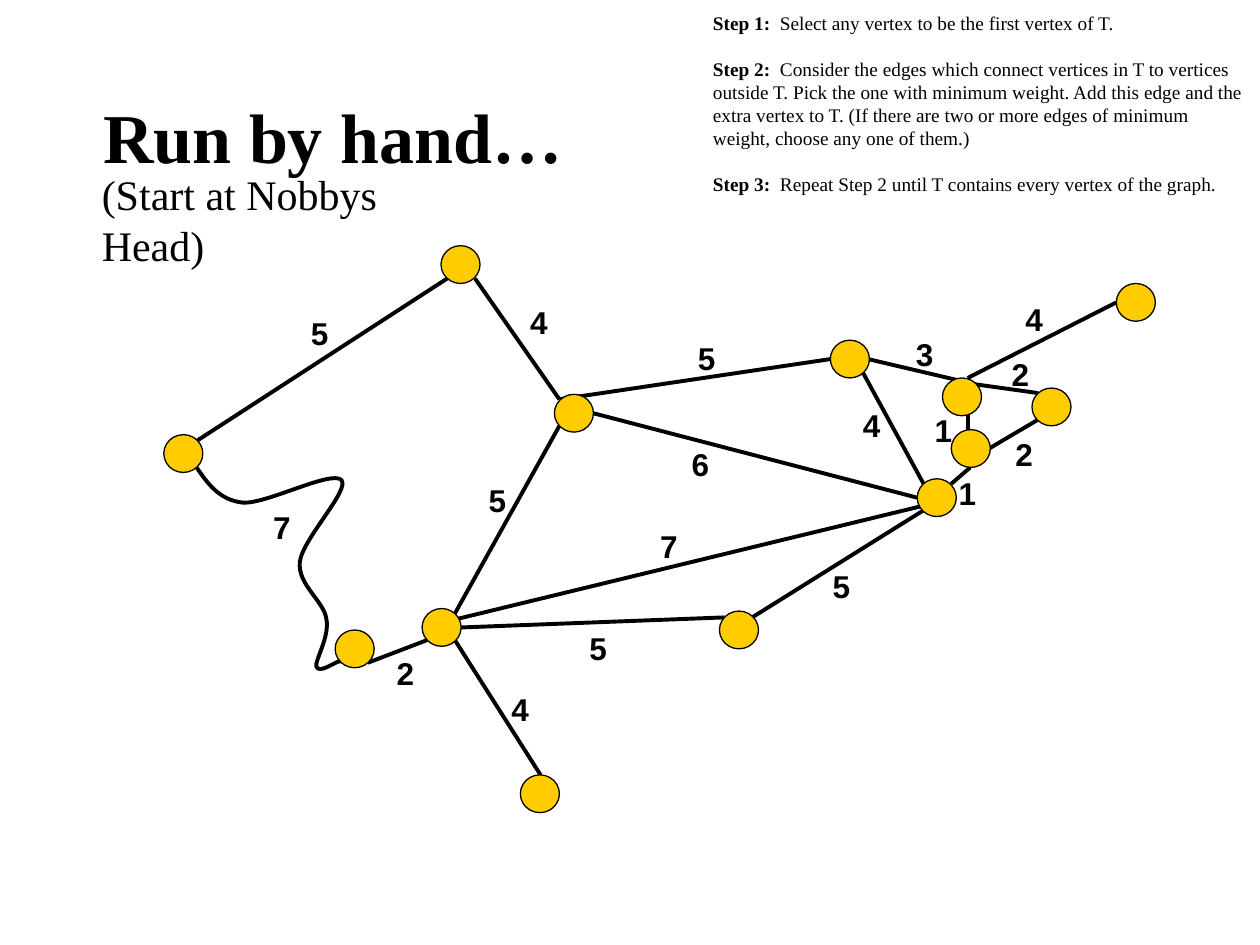
from lxml import etree
from pptx import Presentation
from pptx.dml.color import RGBColor
from pptx.enum import shapes, text
from pptx.oxml.ns import qn
from pptx.util import Inches, Pt

BLACK = RGBColor(0, 0, 0)
GOLD = RGBColor(0xFF, 0xCC, 0x00)
SERIF = "Times New Roman"

deck = Presentation()
deck.slide_width, deck.slide_height = Inches(10), Inches(7.5)
slide = deck.slides.add_slide(deck.slide_layouts[5])
items = slide.shapes


def write(para, words, size, face=SERIF, bold=False):
    run = para.add_run()
    run.text = words
    for key, value in {"size": Pt(size), "name": face, "bold": bold}.items():
        setattr(run.font, key, value)
    run.font.color.rgb = BLACK


def add_box(x, y, w, h, wrap=True):
    frame = items.add_textbox(*map(Inches, (x, y, w, h))).text_frame
    frame.word_wrap = wrap
    return frame


title = items.title
place = {"left": 0.82, "top": 0.74, "width": 8.34, "height": 1.01}
for key, value in place.items():
    setattr(title, key, Inches(value))
frame = title.text_frame
for side in ("left", "right", "top", "bottom"):
    setattr(frame, f"margin_{side}", 0)
frame.vertical_anchor = text.MSO_ANCHOR.TOP
frame.paragraphs[0].alignment = text.PP_ALIGN.LEFT
write(frame.paragraphs[0], "Run by hand…", 40, bold=True)

edges = [
    (1.56, 3.5, 3.55, 2.21), (3.77, 2.21, 4.44, 3.17), (4.44, 3.17, 6.59, 2.85),
    (6.89, 2.85, 7.74, 3.05), (8.86, 2.4, 7.68, 3), (7.74, 3.05, 8.24, 3.12),
    (8.24, 3.33, 7.85, 3.56), (7.68, 3.26, 7.68, 3.41), (7.7, 3.71, 7.55, 3.84),
    (7.33, 4.05, 5.97, 4.9), (5.75, 4.9, 3.66, 4.98), (3.61, 5.08, 4.29, 6.15),
    (4.44, 3.38, 3.61, 4.87), (6.85, 2.96, 7.33, 3.84), (4.71, 3.28, 7.28, 3.95),
    (3.39, 5.08, 2.92, 5.26), (3.35, 4.98, 7.59, 3.95),
]
for ends in edges:
    edge = items.add_connector(shapes.MSO_CONNECTOR.STRAIGHT, *map(Inches, ends))
    edge.line.color.rgb = BLACK
    edge.line.width = Pt(2.25)
    etree.SubElement(edge._element.spPr, qn("a:effectLst"))

bends = [
    (1.65, 3.84), (1.74, 3.97), (1.93, 3.99), (2.12, 4), (2.63, 3.73), (2.71, 3.81),
    (2.78, 3.89), (2.4, 4.28), (2.38, 4.46), (2.36, 4.64), (2.57, 4.77), (2.59, 4.91),
    (2.62, 5.05), (2.5, 5.24), (2.51, 5.29), (2.53, 5.35), (2.65, 5.26), (2.69, 5.25),
    (2.72, 5.25), (2.71, 5.25), (2.7, 5.25),
]
pen = items.build_freeform(Inches(1.56), Inches(3.71))
pen.add_line_segments([(Inches(x), Inches(y)) for x, y in bends], close=False)
coast = pen.convert_to_shape()
coast.shadow.inherit = False
coast.fill.background()
coast.line.color.rgb = BLACK
coast.line.width = Pt(2.25)
route = coast._element.find(".//" + qn("a:path"))
steps = route.findall(qn("a:lnTo"))
for i in range(0, len(steps), 3):
    curve = etree.SubElement(route, qn("a:cubicBezTo"))
    for step in steps[i:i + 3]:
        curve.append(step[0])
        route.remove(step)

nodes = [
    (8.86, 2.25), (5.71, 4.85), (8.19, 3.08), (4.13, 6.15), (1.3, 3.45),
    (3.5, 1.95), (7.55, 3.41), (6.59, 2.7), (4.4, 3.13), (7.48, 3),
    (3.35, 4.83), (7.28, 3.8), (2.66, 5),
]
for x, y in nodes:
    node = items.add_shape(shapes.MSO_SHAPE.OVAL, *map(Inches, (x, y, 0.31, 0.3)))
    node.shadow.inherit = False
    node.fill.solid()
    node.fill.fore_color.rgb = GOLD
    node.line.color.rgb = BLACK
    node.line.width = Pt(0.75)

weights = [
    (5, 2.37, 2.44), (7, 2.07, 3.98), (4, 4.11, 2.36), (5, 5.44, 2.64),
    (6, 5.39, 3.48), (5, 3.78, 3.77), (7, 5.14, 4.13), (2, 3.05, 5.14),
    (4, 3.96, 5.43), (5, 4.58, 4.94), (4, 6.75, 3.17), (3, 7.17, 2.61),
    (4, 8.04, 2.33), (2, 7.96, 3.4), (2, 7.93, 2.77), (1, 7.32, 3.21),
    (1, 7.51, 3.71), (5, 6.51, 4.45),
]
for weight, x, y in weights:
    frame = add_box(x, y, 0.34, 0.4, wrap=False)
    write(frame.paragraphs[0], str(weight), 18, "Arial", True)

start = add_box(0.71, 1.29, 3.2, 0.5)
write(start.paragraphs[0], "(Start at Nobbys Head)", 24)

rules = [
    "Select any vertex to be the first vertex of T.",
    "Consider the edges which connect vertices in T to vertices outside T. "
    "Pick the one with minimum weight. Add this edge and the extra vertex to T. "
    "(If there are two or more edges of minimum weight, choose any one of them.)",
    "Repeat Step 2 until T contains every vertex of the graph.",
]
frame = add_box(5.56, 0.04, 4.4, 1.58)
for count, rule in enumerate(rules, 1):
    para = frame.paragraphs[0] if count == 1 else frame.add_paragraph()
    para.space_before = Pt(13 if count > 1 else 0)
    write(para, f"Step {count}:  ", 11, bold=True)
    write(para, rule, 11)

deck.save("out.pptx")
